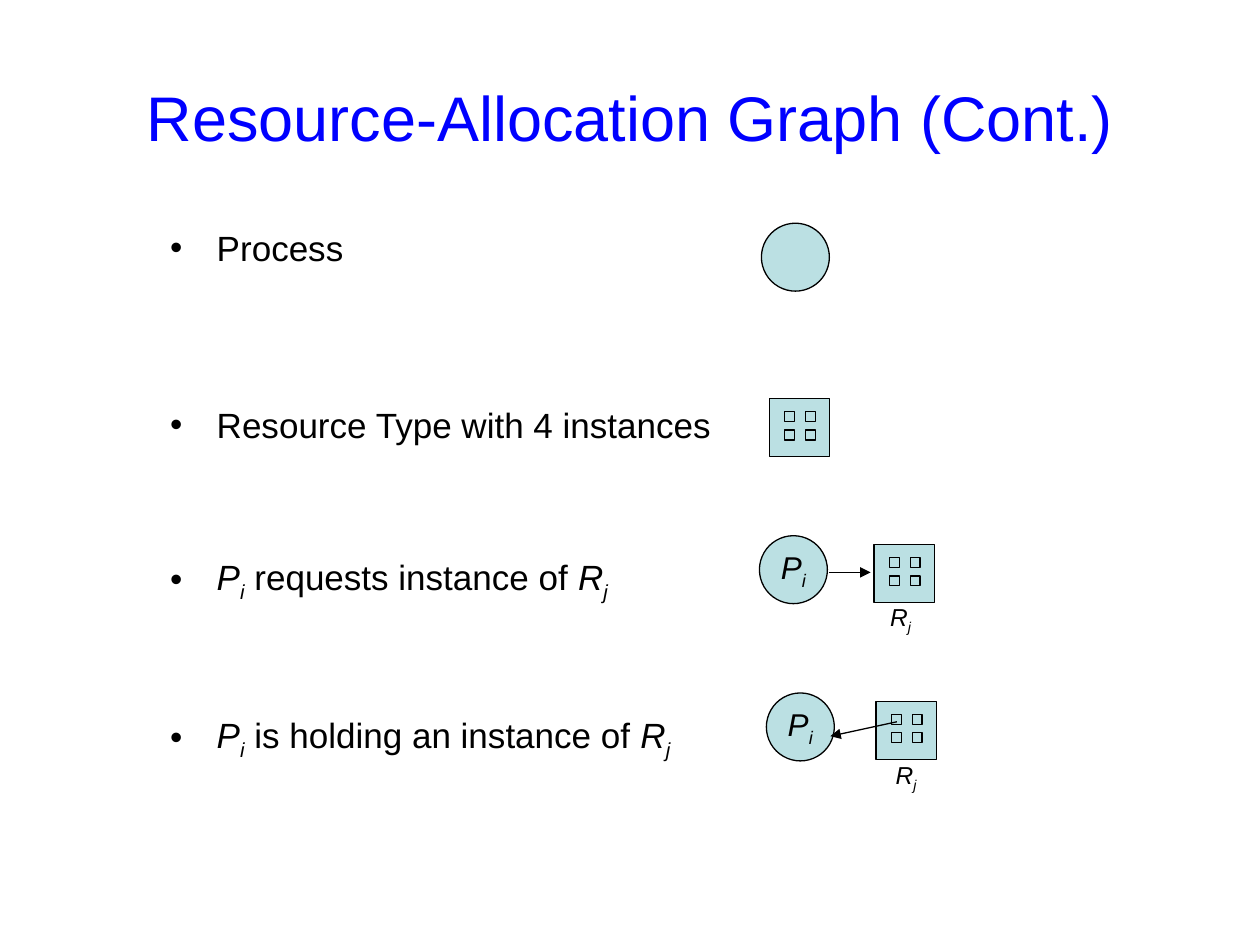
import pptx
import pptx.util
import pptx.dml.color
import pptx.enum.shapes
import pptx.enum.text
from lxml import etree
from pptx.oxml.ns import qn

Cm = pptx.util.Cm
Pt = pptx.util.Pt
SHAPE = pptx.enum.shapes.MSO_SHAPE
ALIGN = pptx.enum.text.PP_ALIGN
ANCHOR = pptx.enum.text.MSO_ANCHOR
BLUE = pptx.dml.color.RGBColor(0x00, 0x00, 0xFF)
BLACK = pptx.dml.color.RGBColor(0x00, 0x00, 0x00)
TEAL = pptx.dml.color.RGBColor(0xBB, 0xE0, 0xE3)


def add_runs(p, runs, size, color=BLACK):
    for text, style in runs:
        r = p.add_run()
        r.text = text
        r.font.name = "Arial"
        r.font.size = Pt(size)
        r.font.color.rgb = color
        r.font.italic = style != "plain"
        if style == "sub":
            r.font._element.set("baseline", "-25000")


def add_node(shapes, kind, x, y, w, h):
    s = shapes.add_shape(kind, Cm(x), Cm(y), Cm(w), Cm(h))
    s.shadow.inherit = False
    s.fill.solid()
    s.fill.fore_color.rgb = TEAL
    s.line.color.rgb = BLACK
    s.line.width = Pt(0.75)
    return s


prs = pptx.Presentation()
prs.slide_width, prs.slide_height = Cm(25.4), Cm(19.05)
slide = prs.slides.add_slide(prs.slide_layouts[6])
shapes = slide.shapes

title = shapes.add_textbox(Cm(1.27), Cm(0.76), Cm(22.86), Cm(3.18))
tf = title.text_frame
tf.word_wrap = True
tf.vertical_anchor = ANCHOR.MIDDLE
p = tf.paragraphs[0]
p.alignment = ALIGN.CENTER
add_runs(p, [("Resource-Allocation Graph (Cont.)", "plain")], 36, BLUE)

process = [("P", "italic"), ("i", "sub")]
resource = [("R", "italic"), ("j", "sub")]
items = [
    (0, [("Process", "plain")]),
    (77, [("Resource Type with 4 instances", "plain")]),
    (63, process + [(" requests instance of ", "plain")] + resource),
    (63, process + [(" is holding an instance of ", "plain")] + resource),
]
body = shapes.add_textbox(Cm(3.18), Cm(4.45), Cm(18.85), Cm(12.57))
tf = body.text_frame
tf.word_wrap = True
tf.margin_top = Cm(0.12)
for i, (gap, runs) in enumerate(items):
    p = tf.paragraphs[0] if i == 0 else tf.add_paragraph()
    p.space_before = Pt(gap)
    pPr = p._p.get_or_add_pPr()
    pPr.set("marL", str(Cm(0.94)))
    pPr.set("indent", str(-Cm(0.94)))
    etree.SubElement(pPr, qn("a:buFont")).set("typeface", "Arial")
    etree.SubElement(pPr, qn("a:buChar")).set("char", "•")
    add_runs(p, runs, 20)

for x, y, runs in [(15.35, 4.5, []), (15.31, 10.8, process), (15.45, 13.97, process)]:
    s = add_node(shapes, SHAPE.OVAL, x, y, 1.37, 1.37)
    tf = s.text_frame
    tf.word_wrap = False
    tf.vertical_anchor = ANCHOR.MIDDLE
    p = tf.paragraphs[0]
    p.alignment = ALIGN.CENTER
    add_runs(p, runs, 18)

for x, y in [(15.51, 8.04), (17.62, 10.98), (17.66, 14.14)]:
    group = shapes.add_group_shape()
    add_node(group.shapes, SHAPE.RECTANGLE, x, y, 1.22, 1.17)
    for row in range(2):
        for col in range(2):
            add_node(group.shapes, SHAPE.RECTANGLE,
                     x + 0.31 + 0.42 * col, y + 0.26 + 0.37 * row, 0.2, 0.2)

for x, y in [(17.7, 12.01), (17.81, 15.19)]:
    label = shapes.add_textbox(Cm(x), Cm(y), Cm(0.91), Cm(0.94))
    tf = label.text_frame
    tf.word_wrap = False
    tf.margin_left = tf.margin_right = Cm(0)
    tf.vertical_anchor = ANCHOR.MIDDLE
    p = tf.paragraphs[0]
    p.alignment = ALIGN.CENTER
    add_runs(p, resource, 14)

for x1, y1, x2, y2 in [(16.71, 11.54, 17.55, 11.54), (18.08, 14.55, 16.74, 14.84)]:
    arrow = shapes.add_connector(pptx.enum.shapes.MSO_CONNECTOR.STRAIGHT,
                                 Cm(x1), Cm(y1), Cm(x2), Cm(y2))
    arrow.line.color.rgb = BLACK
    arrow.line.width = Pt(0.75)
    etree.SubElement(arrow.line._get_or_add_ln(), qn("a:tailEnd")).set("type", "triangle")
    etree.SubElement(arrow._element.spPr, qn("a:effectLst"))

prs.save("out.pptx")
